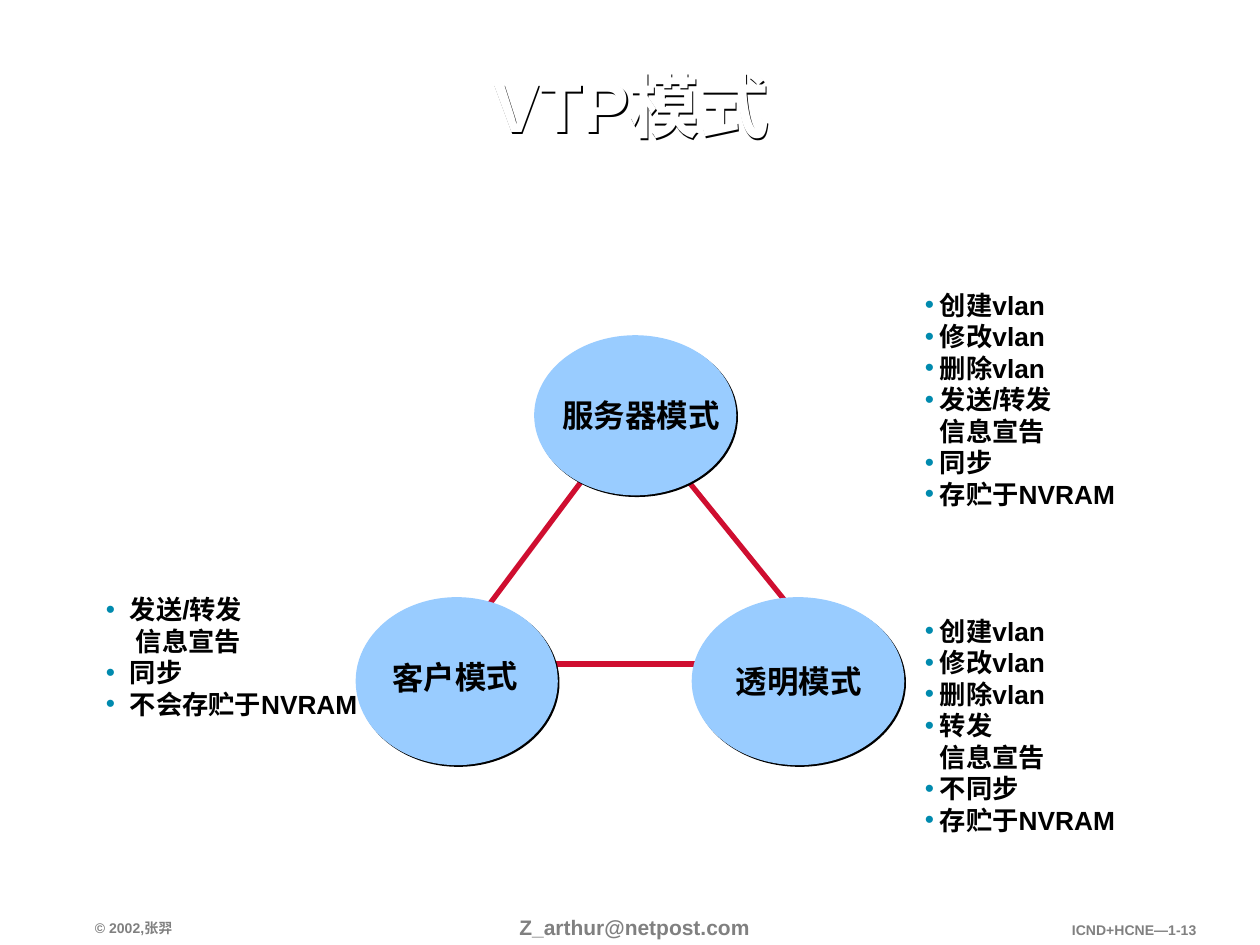
from lxml.etree import SubElement
from pptx import Presentation
from pptx.dml.color import RGBColor
from pptx.enum.shapes import MSO_CONNECTOR, MSO_SHAPE
from pptx.enum.text import MSO_ANCHOR, MSO_AUTO_SIZE, PP_ALIGN
from pptx.oxml.ns import qn
from pptx.util import Inches, Pt

BLACK = RGBColor(0, 0, 0)
WHITE = RGBColor(255, 255, 255)
GREY = RGBColor(0x80, 0x80, 0x80)
BLUE = RGBColor(0x99, 0xCC, 0xFF)
RED = RGBColor(0xCF, 0x0E, 0x30)
TEAL = RGBColor(0, 0x8A, 0xAE)
FACE = "Arial"

# All places are in grid cells: 120 columns by 90 rows
COLS, ROWS = 120, 90
CELL = Inches(10) / COLS

TITLE = ("VTP模式", (10.1, 3, 100, 15))

# Text, place, size, align, anchor, wrap, insets
FOOT = [
    ("© 2002,张羿", (7.95, 87.1, 10.2, 2.6), 8, PP_ALIGN.LEFT,
     MSO_ANCHOR.BOTTOM, False, (0.09, 0.04)),
    ("Z_arthur@netpost.com", (48.5, 86.6, 24.8, 3.4), 12, PP_ALIGN.LEFT,
     MSO_ANCHOR.TOP, True, (0.08, 0.04)),
    ("ICND+HCNE—1-13", (100.3, 87.25, 14.75, 2.6), 8, PP_ALIGN.RIGHT,
     MSO_ANCHOR.TOP, True, (0.09, 0.04)),
]

LINKS = [
    (48.8, 63.25, 72.2, 63.25),
    (44.4, 60.5, 59, 41),
    (76.7, 59.6, 63.5, 43.3),
]

# Name, oval place, label place, label turn, label insets
MODES = [
    ("服务器模式", (51, 32.05, 19, 15), (52.25, 37.05, 17.8, 4.9), 0.2,
     (0.11, 0.06)),
    ("客户模式", (34, 57, 19, 15.75), (36, 61.9, 14.8, 4.9), -1.2,
     (0.11, 0.06)),
    ("透明模式", (66, 57, 20, 15.75), (69, 62.55, 14.2, 4.7), 0,
     (0.09, 0.04)),
]

# Place, indent in inches, points
LISTS = [
    ((9, 56.05, 50, 13), 0.19,
     ["发送/转发 \v 信息宣告", "同步", "不会存贮于NVRAM"]),
    ((87, 27.05, 24, 22), 0.12,
     ["创建vlan", "修改vlan", "删除vlan", "发送/转发 \v信息宣告",
      "同步", "存贮于NVRAM"]),
    ((87, 58.1, 25, 25), 0.12,
     ["创建vlan", "修改vlan", "删除vlan", "转发 \v信息宣告",
      "不同步", "存贮于NVRAM"]),
]


def grid(place):
    return [round(n * CELL) for n in place]


def cast(shape):
    """Give a shape one hard black shadow to the lower right."""
    shape.shadow.inherit = False
    node = shape._element.spPr.find(qn("a:effectLst"))
    shade = SubElement(node, qn("a:outerShdw"), dist=str(Pt(1.4)),
                       dir=str(45 * 60000), algn="ctr", rotWithShape="0")
    SubElement(shade, qn("a:srgbClr"), val=str(BLACK))


def bullet(para, ind):
    props = para._p.get_or_add_pPr()
    props.set("marL", str(Inches(ind)))
    props.set("indent", str(-Inches(ind)))
    tint = SubElement(props, qn("a:buClr"))
    SubElement(tint, qn("a:srgbClr"), val=str(TEAL))
    SubElement(props, qn("a:buFont"), typeface=FACE)
    SubElement(props, qn("a:buChar"), char="•")


def write(slide, lines, place, size, color, align=PP_ALIGN.LEFT,
          anchor=MSO_ANCHOR.TOP, wrap=True, inset=(0.09, 0.04), ind=0,
          fit=MSO_AUTO_SIZE.SHAPE_TO_FIT_TEXT):
    box = slide.shapes.add_textbox(*grid(place))
    frame = box.text_frame
    frame.word_wrap = wrap
    frame.auto_size = fit
    frame.vertical_anchor = anchor
    frame.margin_left = frame.margin_right = Inches(inset[0])
    frame.margin_top = frame.margin_bottom = Inches(inset[1])
    for i, line in enumerate(lines):
        para = frame.add_paragraph() if i else frame.paragraphs[0]
        para.text = line
        para.alignment = align
        if ind:
            bullet(para, ind)
        font = para.font
        font.name, font.size, font.bold = FACE, Pt(size), True
        font.color.rgb = color
    return box


def main():
    deck = Presentation()
    deck.slide_width = round(COLS * CELL)
    deck.slide_height = round(ROWS * CELL)
    slide = deck.slides.add_slide(deck.slide_layouts[6])

    # Footer
    for text, place, size, align, anchor, wrap, inset in FOOT:
        write(slide, [text], place, size, GREY, align, anchor, wrap, inset)

    # Title: white letters seen by their shadow
    text, place = TITLE
    head = write(slide, [text], place, 40, WHITE, PP_ALIGN.CENTER,
                 MSO_ANCHOR.MIDDLE, inset=(0.08, 0.04),
                 fit=MSO_AUTO_SIZE.NONE)
    head.text_frame.paragraphs[0].line_spacing = 0.9
    cast(head)

    # Links between modes
    for ends in LINKS:
        link = slide.shapes.add_connector(MSO_CONNECTOR.STRAIGHT, *grid(ends))
        link.line.color.rgb = RED
        link.line.width = Pt(3)
        SubElement(link._element.spPr, qn("a:effectLst"))

    # Mode ovals, then their labels
    for _, place, *_ in MODES:
        oval = slide.shapes.add_shape(MSO_SHAPE.OVAL, *grid(place))
        oval.fill.solid()
        oval.fill.fore_color.rgb = BLUE
        oval.line.color.rgb = BLUE
        oval.line.width = Pt(1.5)
        cast(oval)
    for name, _, place, turn, inset in MODES:
        label = write(slide, [name], place, 18, BLACK, wrap=False, inset=inset)
        label.rotation = turn

    # Points beside each mode
    for place, ind, lines in LISTS:
        write(slide, lines, place, 15, BLACK, ind=ind)

    deck.save("out.pptx")


if __name__ == "__main__":
    main()
